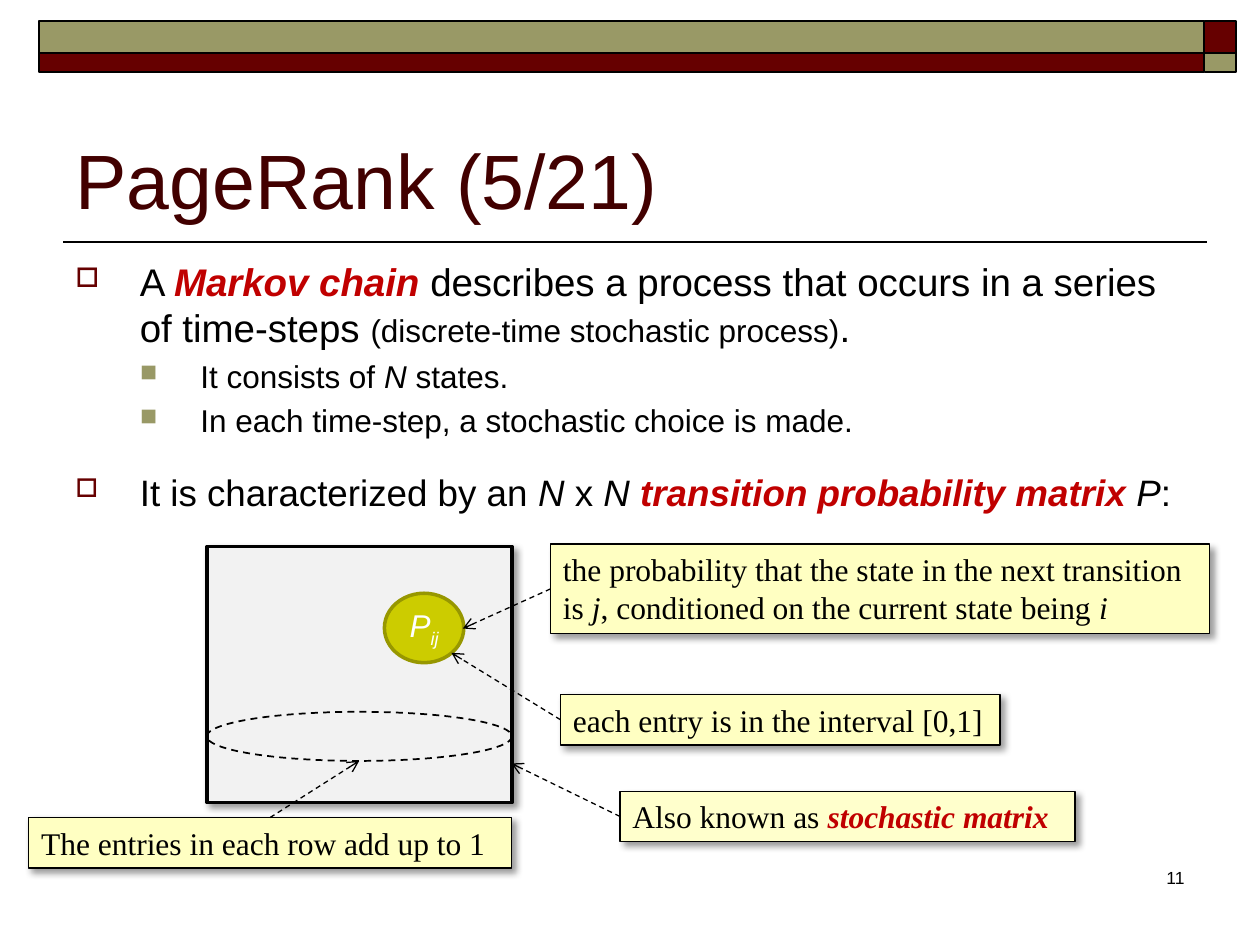
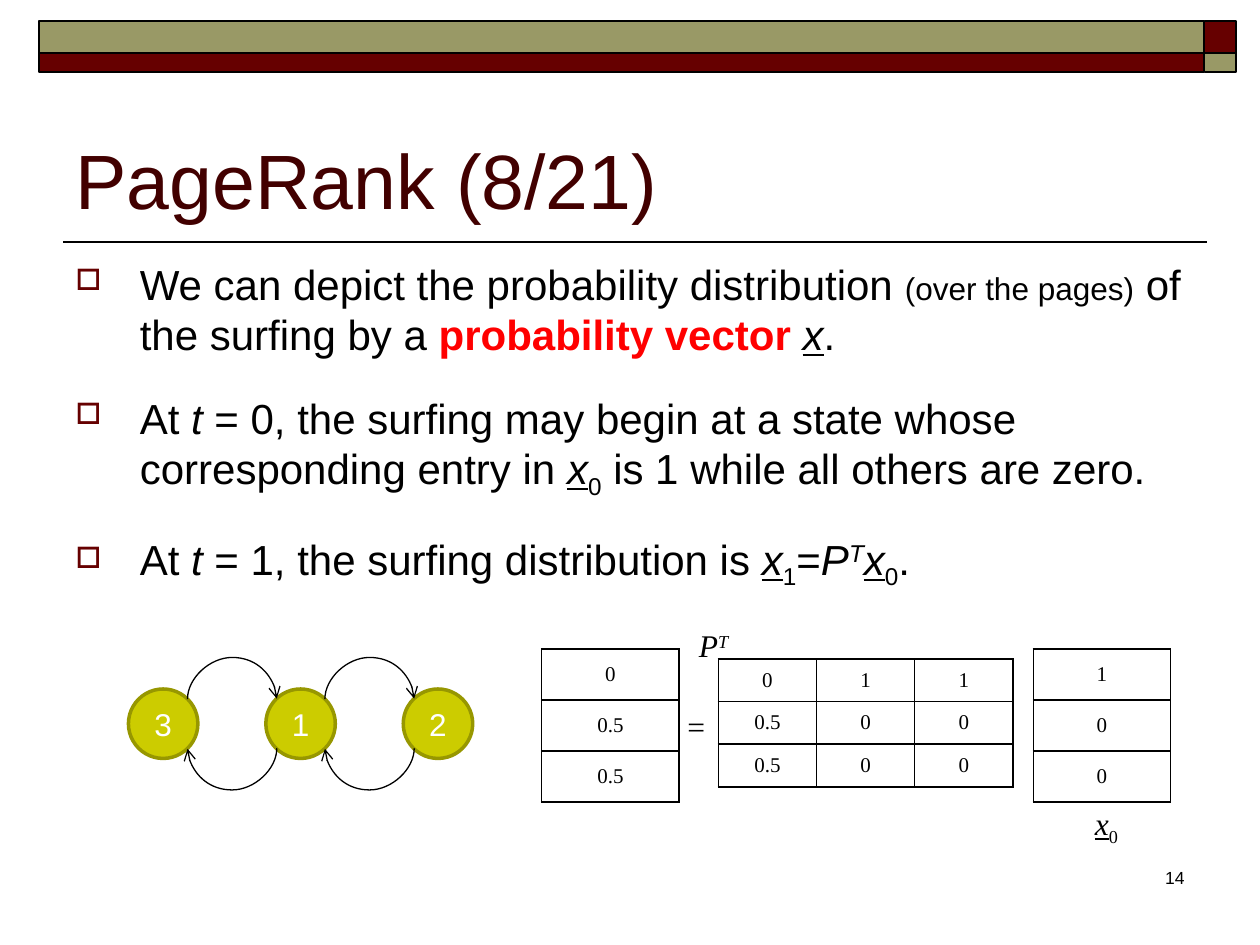
from dataclasses import dataclass
from typing import NamedTuple

from lxml.etree import SubElement
from pptx import Presentation
from pptx.dml.color import RGBColor
from pptx.enum.dml import MSO_LINE
from pptx.enum.shapes import MSO_CONNECTOR, MSO_SHAPE
from pptx.enum.text import MSO_ANCHOR, PP_ALIGN
from pptx.oxml.ns import qn
from pptx.util import Cm, Pt

BLACK, WHITE, TITLE = "000000", "FFFFFF", "420000"
MAROON, OLIVE, CRIMSON, RED = "660000", "999966", "C00000", "FF0000"
NODE_FILL, NODE_LINE = "CCCC00", "979700"
NOTE, NOTE_LIGHT, MATRIX = "FFFFC2", "FFFFCC", "F2F2F2"
SANS, SERIF = "Arial", "Times New Roman"
BASELINES = {"_": "-25000", "^": "30000"}


class Box(NamedTuple):
    x: float
    y: float
    w: float
    h: float


class Run(NamedTuple):
    text: str
    style: str = ""
    color: str = BLACK
    size: float = 0


class Bullet(NamedTuple):
    char: str
    color: str
    scale: int
    left: float
    hang: float


@dataclass
class Para:
    runs: list[Run]
    size: float
    level: int = 0
    gap: float = 0


@dataclass
class Callout:
    box: Box
    paras: list[Para]
    side: int
    target: tuple[float, float]
    fill: str = NOTE


@dataclass
class Grid:
    x: float
    y: float
    col: float
    row: float
    values: list[list[str]]
    fill: str = ""


BULLETS = [Bullet("□", MAROON, 70, 1.3, 1.3), Bullet("■", OLIVE, 75, 2.52, 1.22)]
BANDS = [
    (Box(24.28, 0.43, 0.64, 0.64), MAROON),
    (Box(0.78, 0.43, 23.5, 0.64), OLIVE),
    (Box(0.78, 1.07, 23.5, 0.38), MAROON),
    (Box(24.28, 1.07, 0.64, 0.38), OLIVE),
]


def rgb(value: str) -> RGBColor:
    return RGBColor.from_string(value)


def lengths(box: Box) -> list:
    return [Cm(v) for v in box]


def style_run(r, size: float, font: str, color: str, style: str = "") -> None:
    f = r.font
    f.size, f.name = Pt(size), font
    f.color.rgb = rgb(color)
    f.bold, f.italic, f.underline = "b" in style, "i" in style, "u" in style
    for mark, offset in BASELINES.items():
        if mark in style:
            r._r.get_or_add_rPr().set("baseline", offset)


def write_runs(p, para: Para, font: str) -> None:
    for run in para.runs:
        r = p.add_run()
        r.text = run.text
        style_run(r, run.size or para.size, font, run.color, run.style)


def write(tf, paras: list[Para], font: str) -> None:
    tf.word_wrap = True
    for i, para in enumerate(paras):
        write_runs(tf.add_paragraph() if i else tf.paragraphs[0], para, font)


def add_bullet(p, para: Para) -> None:
    b = BULLETS[para.level]
    pPr = p._p.get_or_add_pPr()
    pPr.set("marL", str(Cm(b.left)))
    pPr.set("indent", str(-Cm(b.hang)))
    if para.gap:
        p.space_before = Pt(para.gap)
    else:
        SubElement(SubElement(pPr, qn("a:spcBef")), qn("a:spcPct"), val="20000")
    SubElement(SubElement(pPr, qn("a:buClr")), qn("a:srgbClr"), val=b.color)
    SubElement(pPr, qn("a:buSzPct"), val=str(b.scale * 1000))
    SubElement(pPr, qn("a:buChar"), char=b.char)


def add_text(s, box: Box, text: str, size: float, color: str = BLACK):
    tf = s.shapes.add_textbox(*lengths(box)).text_frame
    tf.word_wrap = True
    tf.text = text
    style_run(tf.paragraphs[0].runs[0], size, SANS, color)
    return tf


def add_label(s, box: Box, runs: list[Run]) -> None:
    tf = s.shapes.add_textbox(*lengths(box)).text_frame
    tf.margin_right = 0
    write(tf, [Para(runs, 18)], SERIF)


def add_box(s, kind, box: Box, fill: str, line: str = BLACK, width: float = 1, shadow: bool = False):
    sp = s.shapes.add_shape(kind, *lengths(box))
    if fill:
        sp.fill.solid()
        sp.fill.fore_color.rgb = rgb(fill)
    else:
        sp.fill.background()
    sp.line.color.rgb = rgb(line)
    sp.line.width = Pt(width)
    sp.shadow.inherit = False
    if shadow:
        effects = sp._element.spPr.find(qn("a:effectLst"))
        outer = SubElement(effects, qn("a:outerShdw"), blurRad=str(Pt(4)), dist=str(Pt(3)),
                           dir="2700000", algn="tl", rotWithShape="0")
        SubElement(SubElement(outer, qn("a:srgbClr"), val=BLACK), qn("a:alpha"), val="40000")
    return sp


def add_line(s, x1: float, y1: float, x2: float, y2: float, width: float = 0.75,
             kind=MSO_CONNECTOR.STRAIGHT, dashed: bool = False, arrow: bool = True):
    c = s.shapes.add_connector(kind, Cm(x1), Cm(y1), Cm(x2), Cm(y2))
    c.line.color.rgb = rgb(BLACK)
    c.line.width = Pt(width)
    if dashed:
        c.line.dash_style = MSO_LINE.DASH
    if arrow:
        SubElement(c.line._get_or_add_ln(), qn("a:tailEnd"), type="arrow")
    SubElement(c._element.spPr, qn("a:effectLst"))
    return c


def add_node(s, box: Box, runs: list[Run]):
    sp = add_box(s, MSO_SHAPE.OVAL, box, NODE_FILL, NODE_LINE, 2)
    tf = sp.text_frame
    tf.margin_left = tf.margin_right = tf.margin_top = tf.margin_bottom = 0
    tf.vertical_anchor = MSO_ANCHOR.MIDDLE
    write(tf, [Para(runs, 18)], SANS)
    tf.paragraphs[0].alignment = PP_ALIGN.CENTER
    return sp


def add_callout(s, note: Callout) -> None:
    sp = add_box(s, MSO_SHAPE.RECTANGLE, note.box, note.fill, width=0.75, shadow=True)
    sp.text_frame.vertical_anchor = MSO_ANCHOR.TOP
    write(sp.text_frame, note.paras, SERIF)
    for p in sp.text_frame.paragraphs:
        p.alignment = PP_ALIGN.LEFT
    c = add_line(s, note.box.x, note.box.y, *note.target, dashed=True)
    c.begin_connect(sp, note.side)


def add_arc(s, start, end, sites: tuple[int, int], x: float, y: float, up: bool) -> None:
    half, thin, bulge = 0.9, 0.01, 0.84
    c = add_line(s, x, y - half, x + thin, y + half, kind=MSO_CONNECTOR.CURVE)
    xfrm = c._element.spPr.find(qn("a:xfrm"))
    xfrm.set("rot", "5400000")
    if up:
        xfrm.set("flipH", "1")
        xfrm.set("flipV", "1")
    guides = c._element.spPr.find(qn("a:prstGeom")).find(qn("a:avLst"))
    SubElement(guides, qn("a:gd"), name="adj1", fmla=f"val {round(bulge / thin * 100000)}")
    ends = c._element.find(qn("p:nvCxnSpPr")).find(qn("p:cNvCxnSpPr"))
    for tag, sp, site in zip(("a:stCxn", "a:endCxn"), (start, end), sites):
        SubElement(ends, qn(tag), id=str(sp.shape_id), idx=str(site))


def add_grid(s, grid: Grid) -> None:
    rows, cols = len(grid.values), len(grid.values[0])
    box = Box(grid.x, grid.y, cols * grid.col, rows * grid.row)
    table = s.shapes.add_table(rows, cols, *lengths(box)).table
    table.first_row = table.horz_banding = False
    for i, values in enumerate(grid.values):
        for j, value in enumerate(values):
            cell = table.cell(i, j)
            cell.vertical_anchor = MSO_ANCHOR.MIDDLE
            cell.text_frame.text = value
            p = cell.text_frame.paragraphs[0]
            p.alignment = PP_ALIGN.CENTER
            style_run(p.runs[0], 12, SERIF, BLACK)
            tcPr = cell._tc.get_or_add_tcPr()
            for side in ("a:lnL", "a:lnR", "a:lnT", "a:lnB"):
                ln = SubElement(tcPr, qn(side), w=str(Pt(1)))
                SubElement(SubElement(ln, qn("a:solidFill")), qn("a:srgbClr"), val=BLACK)
            if grid.fill:
                cell.fill.solid()
                cell.fill.fore_color.rgb = rgb(grid.fill)
            else:
                cell.fill.background()


def add_page(prs, title: str, number: str, paras: list[Para]):
    s = prs.slides.add_slide(prs.slide_layouts[6])
    add_line(s, 24.33, 4.88, 1.27, 4.88, 1, arrow=False)
    for box, fill in BANDS:
        add_box(s, MSO_SHAPE.RECTANGLE, box, fill)
    tf = add_text(s, Box(1.27, 1.47, 22.86, 3.18), title, 44, TITLE)
    tf.vertical_anchor = MSO_ANCHOR.BOTTOM
    tf = s.shapes.add_textbox(*lengths(Box(1.27, 5.08, 22.86, 11.94))).text_frame
    write(tf, paras, SANS)
    for p, para in zip(tf.paragraphs, paras):
        add_bullet(p, para)
    tf = add_text(s, Box(18.85, 17.35, 5.28, 1.27), number, 10)
    tf.paragraphs[0].alignment = PP_ALIGN.RIGHT
    return s


def build_matrix_slide(prs) -> None:
    s = add_page(prs, "PageRank (5/21)", "11", [
        Para([Run("A "), Run("Markov chain ", "bi", CRIMSON),
              Run("describes a process that occurs in a series of time-steps "),
              Run("(discrete-time stochastic process)", size=18), Run(".")], 22),
        Para([Run("It consists of "), Run("N", "i"), Run(" states.")], 18, 1),
        Para([Run("In each time-step, a stochastic choice is made.")], 18, 1),
        Para([Run("It is characterized by an "), Run("N", "i"), Run(" x "), Run("N ", "i"),
              Run("transition probability matrix ", "bi", CRIMSON), Run("P", "i"), Run(":")],
             21, gap=17.5),
    ])
    add_box(s, MSO_SHAPE.RECTANGLE, Box(4.17, 11.02, 6.15, 5.16), MATRIX, width=2, shadow=True)
    add_node(s, Box(7.75, 11.96, 1.6, 1.4), [Run("P", "i", WHITE), Run("ij", "i_", WHITE)])
    row = add_box(s, MSO_SHAPE.OVAL, Box(4.17, 14.35, 6.15, 0.99), "")
    row.line.dash_style = MSO_LINE.DASH
    for note in (
        Callout(Box(11.1, 10.97, 13.28, 1.8), [
            Para([Run("the probability that the state in the next transition")], 18),
            Para([Run("is "), Run("j", "i"), Run(", conditioned on the current state being "),
                  Run("i", "i")], 18)], 1, (9.33, 12.67)),
        Callout(Box(11.3, 14, 8.86, 1.02),
                [Para([Run("each entry is in the interval [0,1]")], 18)], 1, (9.1, 13.16)),
        Callout(Box(0.58, 16.48, 9.73, 1.02),
                [Para([Run("The entries in each row add up to 1")], 18)], 0, (7.24, 15.34)),
        Callout(Box(12.5, 15.95, 9.17, 1.02),
                [Para([Run("Also known as "), Run("stochastic matrix", "bi", CRIMSON)], 18)],
                1, (10.31, 15.39), NOTE_LIGHT),
    ):
        add_callout(s, note)


def build_vector_slide(prs) -> None:
    s = add_page(prs, "PageRank (8/21)", "14", [
        Para([Run("We can depict the probability distribution "), Run("(over the pages)", size=18),
              Run(" of the surfing by a "), Run("probability vector ", "b", RED),
              Run("x", "iu"), Run(".")], 24),
        Para([Run("At "), Run("t ", "i"),
              Run("= 0, the surfing may begin at a state whose corresponding entry in "),
              Run("x", "iu"), Run("0", "_"), Run(" is 1 while all others are zero.")], 24, gap=19),
        Para([Run("At "), Run("t ", "i"), Run("= 1, the surfing distribution is "),
              Run("x", "iu"), Run("1", "_"), Run("="), Run("P", "i"), Run("T", "i^"),
              Run("x", "iu"), Run("0", "_"), Run(".")], 24, gap=19),
    ])
    for grid in (
        Grid(10.92, 13.08, 2.77, 1.03, [["0"], ["0.5"], ["0.5"]], WHITE),
        Grid(14.48, 13.28, 1.98, 0.86, [["0", "1", "1"], ["0.5", "0", "0"], ["0.5", "0", "0"]]),
        Grid(20.83, 13.08, 2.77, 1.03, [["1"], ["0"], ["0"]], WHITE),
    ):
        add_grid(s, grid)
    add_label(s, Box(13.61, 14.12, 0.86, 1.02), [Run("=")])
    add_label(s, Box(13.84, 12.5, 1.14, 1.02), [Run("P", "i"), Run("T", "i^")])
    add_label(s, Box(21.82, 16.08, 1.02, 1.02), [Run("x", "iu"), Run("0", "_")])

    left, top, size, pitch = 2.59, 13.89, 1.4, 2.77
    nodes = [add_node(s, Box(left + i * pitch, top, size, size), [Run(state, color=WHITE)])
             for i, state in enumerate("312")]
    for i, (a, b) in enumerate(zip(nodes, nodes[1:])):
        middle = left + i * pitch + (size + pitch) / 2
        add_arc(s, a, b, (7, 1), middle, top + 0.2, True)
        add_arc(s, b, a, (3, 5), middle, top + size - 0.2, False)


def main() -> None:
    prs = Presentation()
    prs.slide_width, prs.slide_height = Cm(25.4), Cm(19.05)
    build_matrix_slide(prs)
    build_vector_slide(prs)
    prs.save("out.pptx")


if __name__ == "__main__":
    main()
